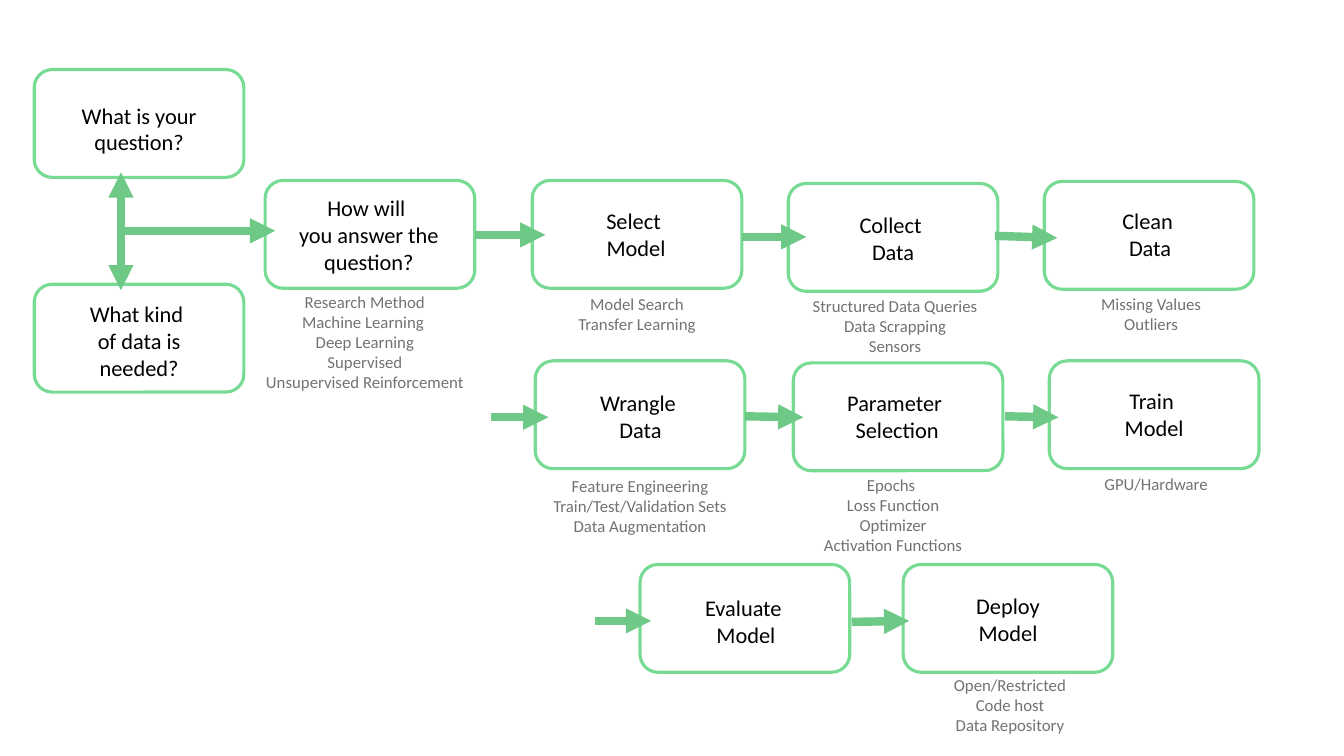
from dataclasses import dataclass

from lxml import etree
from pptx import Presentation
from pptx.dml.color import RGBColor
from pptx.enum.shapes import MSO_CONNECTOR, MSO_SHAPE
from pptx.enum.text import MSO_AUTO_SIZE, PP_ALIGN
from pptx.oxml.ns import qn
from pptx.util import Inches, Pt

ROUNDED = MSO_SHAPE.ROUNDED_RECTANGLE
STRAIGHT = MSO_CONNECTOR.STRAIGHT
GROW = MSO_AUTO_SIZE.SHAPE_TO_FIT_TEXT
CENTER = PP_ALIGN.CENTER

WHITE = RGBColor(0xFF, 0xFF, 0xFF)
BLACK = RGBColor(0x00, 0x00, 0x00)
GRAY = RGBColor(0x76, 0x71, 0x71)
BORDER_GREEN = RGBColor(0x77, 0xDB, 0x93)
ARROW_GREEN = RGBColor(0x6E, 0xC9, 0x87)

SLIDE_WIDTH, SLIDE_HEIGHT = Inches(13.33), Inches(7.5)
COLUMNS, ROWS = 40, 30
BOX_COLUMNS, BOX_ROWS = 6.24, 4.28


@dataclass
class Step:
    """One box of the workflow; places are (column, row, width in columns)."""
    box: tuple
    label_place: tuple
    label: list
    label_lines: int = 2
    caption_place: tuple = ()
    caption: tuple = ()


STEPS = [
    Step((1.02, 2.76), (1.65, 3.84, 4.98), ["What is your question?"]),
    Step((1.02, 11.28), (1.65, 11.72, 4.98),
         ["What kind ", "of data is needed?"], 3),
    Step((7.89, 7.16), (7.65, 7.52, 6.66),
         ["How will ", "you answer the question?"], 3,
         (7.53, 11.36, 6.66),
         ("Research Method", "Machine Learning ", "Deep Learning",
          "Supervised", "Unsupervised Reinforcement")),
    Step((15.84, 7.16), (15.6, 8.04, 6.66), ["Select ", "Model"], 2,
         (15.84, 11.44, 6.24), ("Model Search", "Transfer Learning")),
    Step((23.46, 7.28), (23.25, 8.2, 6.66), ["Collect ", "Data"], 2,
         (23.31, 11.52, 6.66),
         ("Structured Data Queries", "Data Scrapping", "Sensors")),
    Step((31.08, 7.2), (31.11, 8.04, 6.24), ["Clean ", "Data"], 2,
         (30.93, 11.44, 6.66), ("Missing Values", "Outliers")),
    Step((15.93, 14.32), (15.84, 15.24, 6.45), ["Wrangle ", "Data"], 2,
         (15.72, 18.68, 6.66),
         ("Feature Engineering", "Train/Test/Validation Sets",
          "Data Augmentation")),
    Step((23.61, 14.4), (23.37, 15.24, 6.66), ["Parameter ", "Selection"], 2,
         (23.25, 18.64, 6.66),
         ("Epochs ", "Loss Function", "Optimizer", "Activation Functions")),
    Step((31.23, 14.32), (31.23, 15.16, 6.24), ["Train ", "Model"], 2,
         (31.08, 18.6, 6.66), ("GPU/Hardware",)),
    Step((19.05, 22.4), (19.05, 23.4, 6.3), ["Evaluate ", "Model"]),
    Step((26.88, 22.4), (26.88, 23.32, 6.24), ["Deploy", "Model"], 2,
         (26.73, 26.56, 6.66),
         ("Open/Restricted", "Code host", "Data Repository")),
]

# Start and end of each one-way arrow, in columns and rows
FLOW = [
    ((3.6, 9.16), (8.19, 9.16)),
    ((14.61, 16.56), (16.32, 16.56)),
    ((17.7, 24.64), (19.38, 24.64)),
    ((14.13, 9.32), (16.23, 9.32)),
    ((22.08, 9.4), (24, 9.4)),
    ((29.61, 9.36), (31.47, 9.44)),
    ((22.17, 16.52), (23.91, 16.56)),
    ((29.91, 16.52), (31.5, 16.56)),
    ((25.35, 24.68), (27.06, 24.64)),
]


class Flowchart:
    font = "Calibri"

    def __init__(self, slide):
        self.shapes = slide.shapes

    @staticmethod
    def at(column, row):
        """Turn grid columns and rows into slide lengths."""
        return (round(SLIDE_WIDTH * column / COLUMNS),
                round(SLIDE_HEIGHT * row / ROWS))

    def box(self, column, row):
        box = self.shapes.add_shape(ROUNDED, *self.at(column, row),
                                    *self.at(BOX_COLUMNS, BOX_ROWS))
        box.shadow.inherit = False
        box.fill.solid()
        box.fill.fore_color.rgb = WHITE
        box.line.color.rgb = BORDER_GREEN
        box.line.width = Pt(2.25)

    def text(self, place, height, lines, size, color):
        column, row, width = place
        frame = self.shapes.add_textbox(*self.at(column, row),
                                        *self.at(width, height)).text_frame
        frame.word_wrap = True
        frame.auto_size = GROW
        frame.text = "\n".join(lines)
        for paragraph in frame.paragraphs:
            paragraph.alignment = CENTER
            paragraph.font.name = self.font
            paragraph.font.size = Pt(size)
            paragraph.font.color.rgb = color

    def label(self, step):
        self.text(step.label_place, 0.4 + 1.08 * step.label_lines,
                  step.label, 16, BLACK)

    def caption(self, step):
        self.text(step.caption_place, 1.64 + 0.8 * len(step.caption),
                  step.caption, 12, GRAY)

    def arrow(self, start, end, two_way=False):
        arrow = self.shapes.add_connector(STRAIGHT, *self.at(*start),
                                          *self.at(*end))
        arrow.line.color.rgb = ARROW_GREEN
        arrow.line.width = Pt(6)
        outline = arrow.line._get_or_add_ln()
        for tip in ("a:headEnd", "a:tailEnd") if two_way else ("a:tailEnd",):
            etree.SubElement(outline, qn(tip), type="triangle")
        etree.SubElement(arrow._element.spPr, qn("a:effectLst"))


def main():
    deck = Presentation()
    deck.slide_width, deck.slide_height = SLIDE_WIDTH, SLIDE_HEIGHT
    chart = Flowchart(deck.slides.add_slide(deck.slide_layouts[6]))

    for step in STEPS:
        chart.box(*step.box)
    for step in STEPS:
        chart.label(step)
        if step.caption:
            chart.caption(step)

    chart.arrow((3.6, 6.84), (3.6, 11.52), two_way=True)
    for start, end in FLOW:
        chart.arrow(start, end)

    deck.save("out.pptx")


if __name__ == "__main__":
    main()
